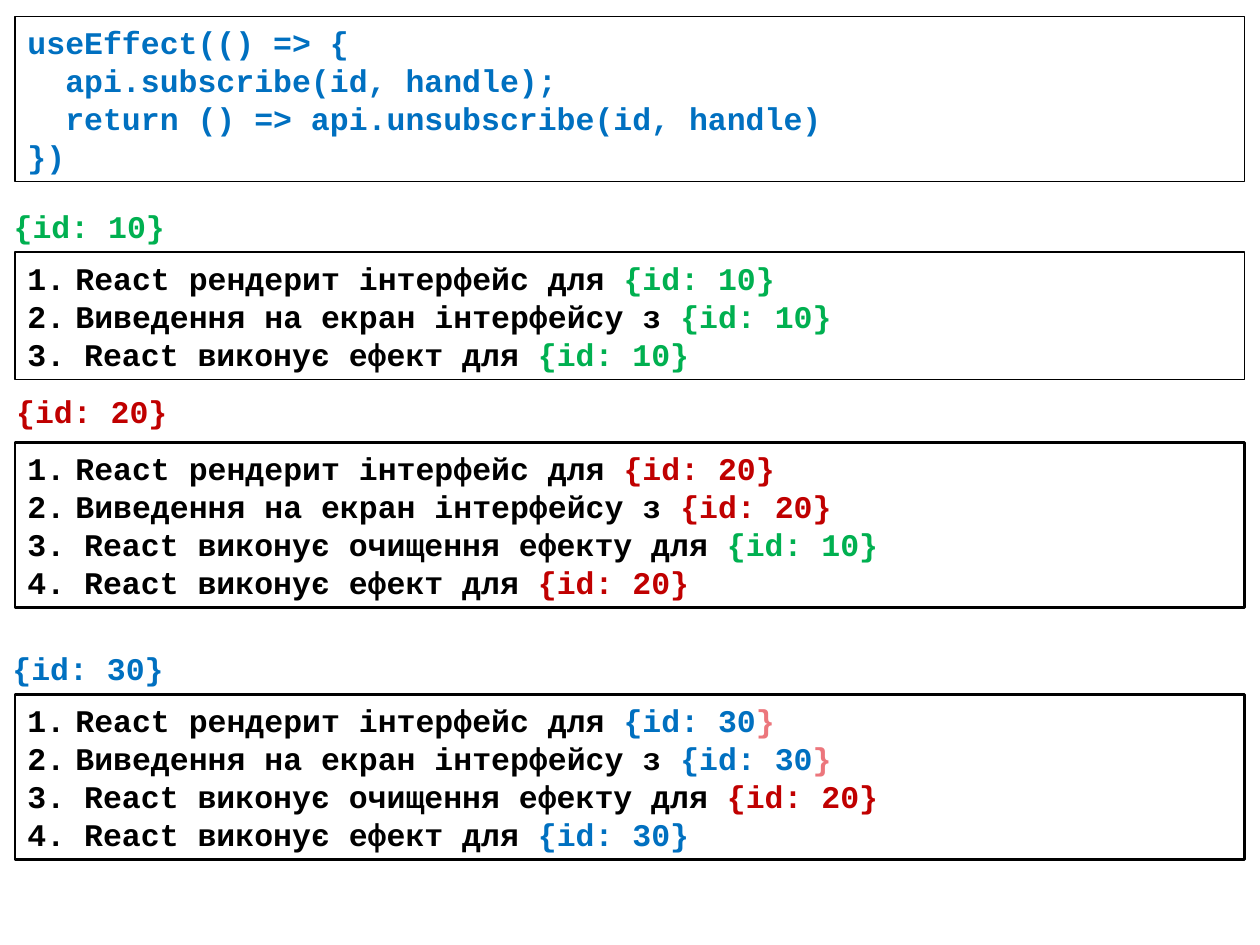
from typing import NamedTuple

from lxml.etree import SubElement
from pptx import Presentation
from pptx.dml.color import RGBColor
from pptx.enum.shapes import MSO_SHAPE
from pptx.enum.text import MSO_ANCHOR, PP_ALIGN
from pptx.oxml.ns import qn
from pptx.util import Inches, Pt

WIDTH, HEIGHT = Inches(10), Inches(7.5)
COLOURS = {
    "black": "000000",
    "green": "00B050",
    "red": "C00000",
    "blue": "0070C0",
    "pink": "EC767C",
}
INDENT = Inches(0.38)


class Span(NamedTuple):
    text: str
    colour: str = "black"


class Line(NamedTuple):
    spans: list[Span]
    numbered: bool = False


class Render(NamedTuple):
    """One render: its label and its steps, placed in percent of the slide."""
    label: Span
    label_left: float
    label_top: float
    box_top: float
    border: float
    steps: list[Line]


def across(percent: float) -> int:
    return round(WIDTH * percent / 100)


def down(percent: float) -> int:
    return round(HEIGHT * percent / 100)


def write_lines(frame, lines: list[Line]) -> None:
    for index, line in enumerate(lines):
        para = frame.paragraphs[0] if index == 0 else frame.add_paragraph()
        para.alignment = PP_ALIGN.LEFT
        if line.numbered:
            properties = para._p.get_or_add_pPr()
            properties.set("marL", str(INDENT))
            properties.set("indent", str(-INDENT))
            SubElement(properties, qn("a:buAutoNum"), type="arabicPeriod")
        para.font.name = "Courier New"
        para.font.size = Pt(18)
        para.font.bold = True
        for span in line.spans:
            run = para.add_run()
            run.text = span.text
            run.font.color.rgb = RGBColor.from_string(COLOURS[span.colour])


def add_box(slide, top: float, border: float, lines: list[Line]) -> None:
    """Draw a full-width frame whose height follows its number of lines."""
    box = slide.shapes.add_shape(
        MSO_SHAPE.RECTANGLE, across(1.2), down(top),
        across(97.6), down(1.47 + 4 * len(lines)))
    box.shadow.inherit = False
    box.fill.background()
    box.line.color.rgb = RGBColor.from_string(COLOURS["black"])
    box.line.width = Pt(border)
    box.text_frame.word_wrap = True
    box.text_frame.vertical_anchor = MSO_ANCHOR.MIDDLE
    write_lines(box.text_frame, lines)


def add_label(slide, left: float, top: float, label: Span) -> None:
    box = slide.shapes.add_textbox(
        across(left), down(top), across(14.1), down(5.33))
    box.text_frame.word_wrap = False
    write_lines(box.text_frame, [Line([label])])


def first_steps(*state: Span) -> list[Line]:
    return [
        Line([Span("React рендерит інтерфейс для "), *state], numbered=True),
        Line([Span("Виведення на екран інтерфейсу з "), *state], numbered=True),
    ]


def run_step(number: int, state: Span) -> Line:
    return Line([Span(f"{number}. React виконує ефект для "), state])


def clean_step(number: int, state: Span) -> Line:
    return Line([Span(f"{number}. React виконує очищення ефекту для "), state])


TEN = Span("{id: 10}", "green")
TWENTY = Span("{id: 20}", "red")
THIRTY = Span("{id: 30}", "blue")
THIRTY_SPLIT = (Span("{id: 30", "blue"), Span("}", "pink"))

CODE = """useEffect(() => {
  api.subscribe(id, handle);
  return () => api.unsubscribe(id, handle)
})"""

RENDERS = [
    Render(TEN, 0.1, 21.2, 26.67, 0.75,
           [*first_steps(TEN), run_step(3, TEN)]),
    Render(TWENTY, 0.3, 40.8, 46.8, 1.5,
           [*first_steps(TWENTY), clean_step(3, TEN), run_step(4, TWENTY)]),
    Render(THIRTY, 0, 68, 73.47, 1.5,
           [*first_steps(*THIRTY_SPLIT), clean_step(3, TWENTY),
            run_step(4, THIRTY)]),
]


def main() -> None:
    deck = Presentation()
    deck.slide_width, deck.slide_height = WIDTH, HEIGHT
    slide = deck.slides.add_slide(deck.slide_layouts[6])
    code_lines = [Line([Span(text, "blue")]) for text in CODE.splitlines()]
    add_box(slide, 1.73, 0.75, code_lines)
    for render in RENDERS:
        add_label(slide, render.label_left, render.label_top, render.label)
        add_box(slide, render.box_top, render.border, render.steps)
    deck.save("out.pptx")


if __name__ == "__main__":
    main()
